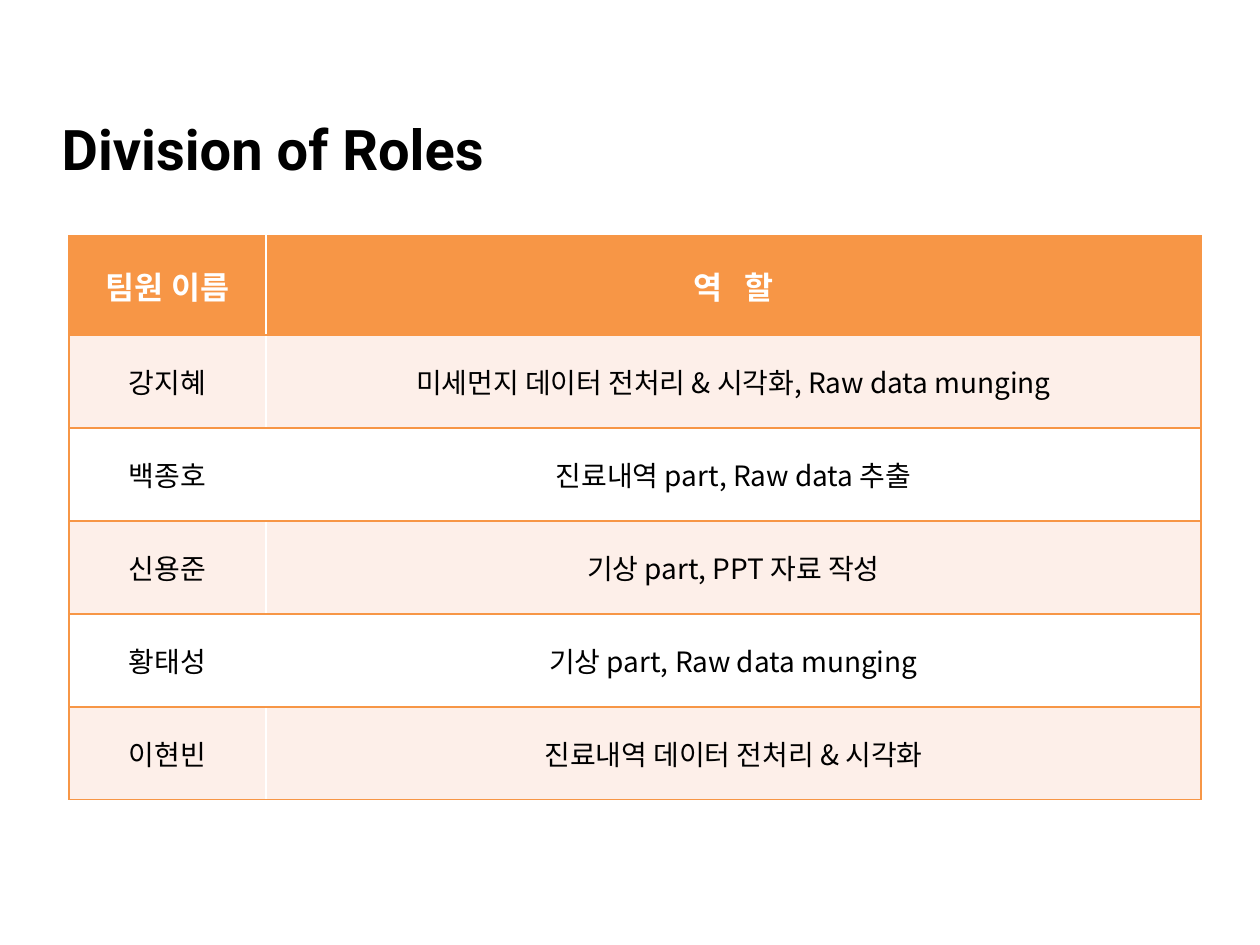
from lxml.etree import SubElement
from pptx import Presentation
from pptx.dml.color import RGBColor
from pptx.enum.text import MSO_ANCHOR as Anchor, PP_ALIGN as Align
from pptx.oxml import parse_xml
from pptx.oxml.ns import nsdecls, qn
from pptx.util import Pt

EMU_PER_PX = 914400 / 126
COLORS = {
    "text": "000000",
    "accent": "F79646",
    "header_text": "FFFFFF",
    "band": "FDEFE9",
    "plain": "FFFFFF",
}
LATIN_FONT = "Roboto"
KOREAN_FONT = "Noto Sans CJK KR"

# Each cell is a list of runs; a second run is set in the Korean font.
HEADER = [["팀원 이름"], ["역   할"]]
MEMBERS = [
    [["강지혜"], ["미세먼지 데이터 전처리 ", "& 시각화, Raw data munging"]],
    [["백종호"], ["진료내역 ", "part, Raw data 추출"]],
    [["신용준"], ["기상", " part, PPT 자료 작성"]],
    [["황태성"], ["기상 ", "part, Raw data munging"]],
    [["이현빈"], ["진료내역 데이터 전처리 ", "& 시각화"]],
]
COLUMN_WIDTHS = [197, 935]
HEADER_HEIGHT, ROW_HEIGHT = 99, 93


def px(length):
    return round(length * EMU_PER_PX)


def rgb(name):
    return RGBColor.from_string(COLORS[name])


def format_span(span, size, color, bold=False, font=LATIN_FONT):
    span.font.name = font
    span.font.size = Pt(size)
    span.font.bold = bold
    span.font.color.rgb = rgb(color)
    SubElement(span.font._element, qn("a:ea")).set("typeface", KOREAN_FONT)


def add_title(page, text):
    title = page.shapes.title
    title.left, title.top, title.width, title.height = map(px, (49, 108, 478, 81))
    frame = title.text_frame
    frame.text = text
    frame.word_wrap = True
    frame.vertical_anchor = Anchor.TOP
    para = frame.paragraphs[0]
    para.alignment = Align.LEFT
    format_span(para.runs[0], 32, "text", bold=True)


def set_borders(cell, sides):
    """Draw 1 pt accent lines on the sides, given in schema order L, R, T, B."""
    properties = cell._tc.get_or_add_tcPr()
    for position, side in enumerate(sides):
        line = parse_xml(
            f'<a:ln{side} {nsdecls("a")} w="{Pt(1)}"><a:solidFill>'
            f'<a:srgbClr val="{COLORS["accent"]}"/></a:solidFill></a:ln{side}>'
        )
        properties.insert(position, line)


def fill_cell(cell, texts, fill, size, color, bold):
    cell.vertical_anchor = Anchor.MIDDLE
    cell.fill.solid()
    cell.fill.fore_color.rgb = rgb(fill)
    para = cell.text_frame.paragraphs[0]
    para.alignment = Align.CENTER
    for text, font in zip(texts, (LATIN_FONT, KOREAN_FONT)):
        span = para.add_run()
        span.text = text
        format_span(span, size, color, bold, font)


def add_roles_table(page):
    rows = [HEADER, *MEMBERS]
    heights = [HEADER_HEIGHT] + [ROW_HEIGHT] * len(MEMBERS)
    table = page.shapes.add_table(
        len(rows), len(COLUMN_WIDTHS), px(69), px(236),
        px(sum(COLUMN_WIDTHS)), px(sum(heights)),
    ).table
    for column, width in zip(table.columns, COLUMN_WIDTHS):
        column.width = px(width)
    for index, (cells, height) in enumerate(zip(rows, heights)):
        table.rows[index].height = px(height)
        if index == 0:
            style = ("accent", 18, "header_text", True)
        else:
            style = ("band" if index % 2 else "plain", 16, "text", False)
        for column, texts in enumerate(cells):
            cell = table.cell(index, column)
            fill_cell(cell, texts, *style)
            set_borders(cell, "RTB" if column else "LTB")


def main():
    deck = Presentation()
    deck.slide_width, deck.slide_height = px(1260), px(945)
    page = deck.slides.add_slide(deck.slide_layouts.get_by_name("Title Only"))
    add_title(page, "Division of Roles")
    add_roles_table(page)
    deck.save("out.pptx")


if __name__ == "__main__":
    main()
